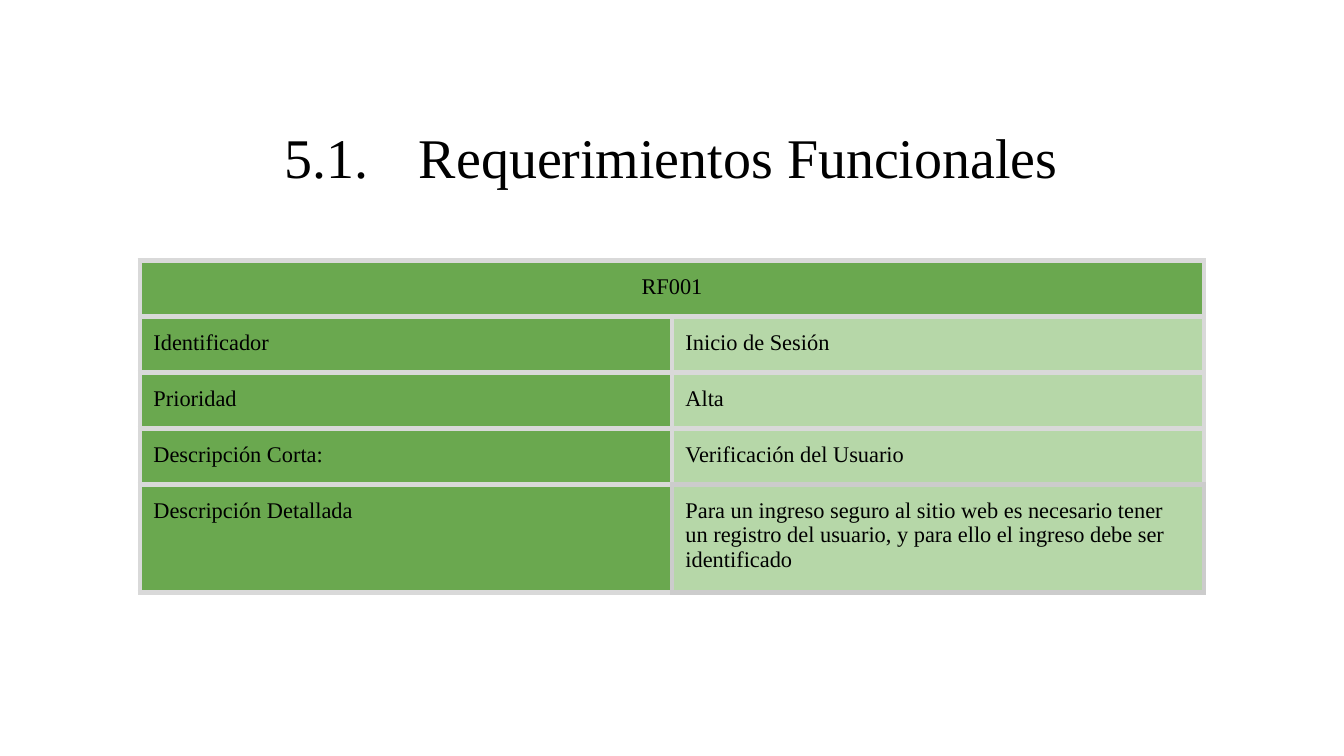
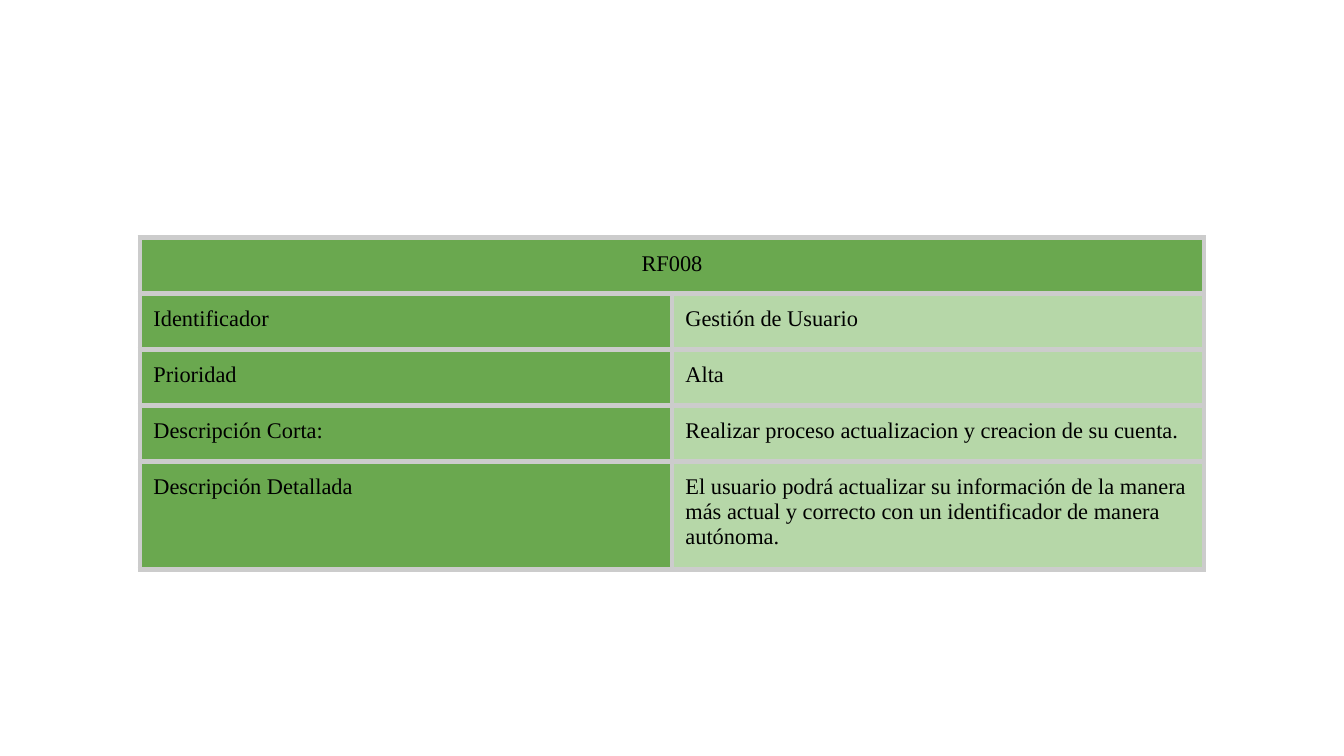
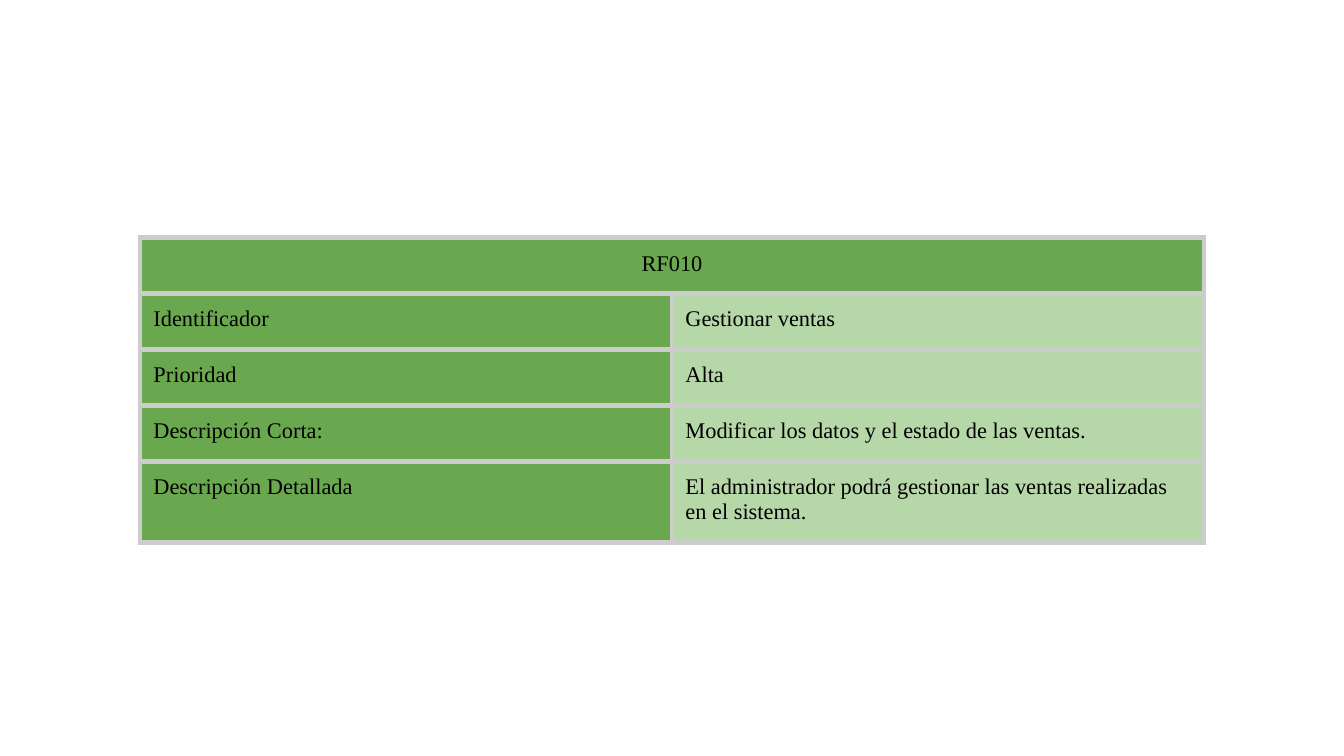
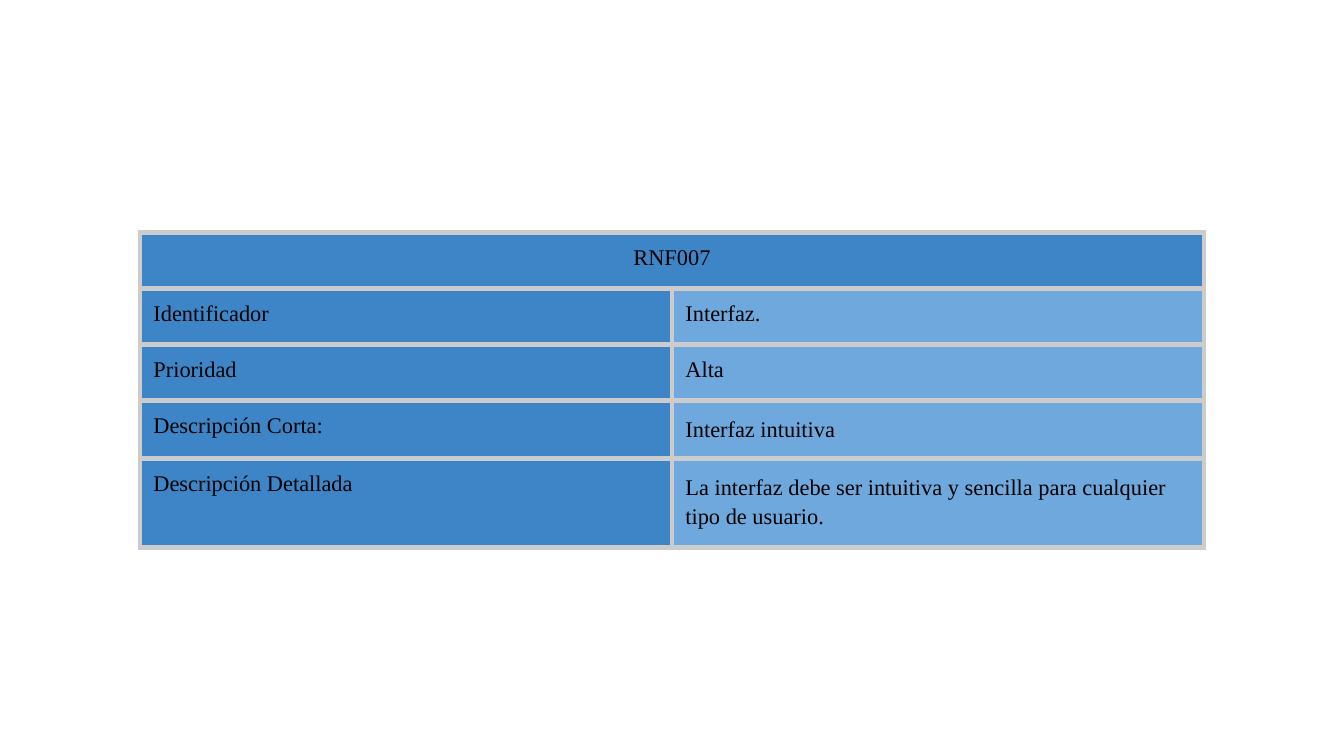
from dataclasses import dataclass

from lxml.etree import SubElement
from pptx import Presentation
from pptx.dml.color import RGBColor
from pptx.enum.text import MSO_AUTO_SIZE, PP_ALIGN
from pptx.oxml.ns import qn
from pptx.util import Pt

FONT = "Times New Roman"
BLACK = "000000"
GRAY = "CCCCCC"
LIGHT_GRAY = "D9D9D9"
GREENS = ("6AA84F", "B6D7A8")
BLUES = ("3D85C6", "6FA8DC")
LABELS = ("Identificador", "Prioridad", "Descripción Corta:", "Descripción Detallada")
TABLE_LEFT, COLUMN_WIDTH, ROW_HEIGHT = 75, 285, 30
BORDER_WIDTH = 3
INSET = 7.2


@dataclass
class Requirement:
    """The content and look of one requirement table."""
    code: str
    values: tuple
    top: float
    fills: tuple = GREENS
    border: str = GRAY
    description_spacing: float = 1.0


REQUIREMENTS = (
    Requirement("RF001", (
        "Inicio de Sesión", "Alta", "Verificación del Usuario",
        "Para un ingreso seguro al sitio web es necesario tener un registro del usuario, "
        "y para ello el ingreso debe ser identificado"), 139.7, border=LIGHT_GRAY),
    Requirement("RF008", (
        "Gestión de Usuario", "Alta", "Realizar proceso actualizacion y creacion de su cuenta.",
        "El usuario podrá actualizar su información de la manera más actual y correcto "
        "con un identificador de manera autónoma."), 127.3),
    Requirement("RF010", (
        "Gestionar ventas", "Alta", "Modificar los datos y el estado de las ventas.",
        "El administrador podrá gestionar las ventas realizadas en el sistema."), 127.3),
    Requirement("RNF007", (
        "Interfaz.", "Alta", "Interfaz intuitiva",
        "La interfaz debe ser intuitiva y sencilla para cualquier tipo de usuario."),
        124.6, fills=BLUES, description_spacing=1.15),
)


def color(value):
    """Turn a hex string into a colour."""
    return RGBColor.from_string(value)


def set_insets(target):
    """Give a cell or text frame the shared inner margins."""
    target.margin_left = target.margin_right = Pt(INSET)
    target.margin_top = target.margin_bottom = Pt(INSET)


def write(paragraph, text, size, alignment=PP_ALIGN.LEFT):
    """Add one run in the shared font to a paragraph."""
    paragraph.alignment = alignment
    run = paragraph.add_run()
    run.text = text
    run.font.name = FONT
    run.font.size = Pt(size)
    run.font.color.rgb = color(BLACK)


def add_title(slide, text):
    """Add the centred section title."""
    shape = slide.shapes.add_textbox(Pt(132.5), Pt(58.3), Pt(454.3), Pt(51.1))
    frame = shape.text_frame
    frame.word_wrap = True
    frame.auto_size = MSO_AUTO_SIZE.SHAPE_TO_FIT_TEXT
    set_insets(frame)
    write(frame.paragraphs[0], text, 30, PP_ALIGN.CENTER)


def set_borders(cell, colors):
    """Draw the left, right, top and bottom borders of a cell."""
    properties = cell._tc.get_or_add_tcPr()
    for index, (side, value) in enumerate(zip("LRTB", colors)):
        line = SubElement(properties, qn(f"a:ln{side}"), w=str(Pt(BORDER_WIDTH)))
        fill = SubElement(line, qn("a:solidFill"))
        SubElement(fill, qn("a:srgbClr"), val=value)
        properties.insert(index, line)


def style_cell(cell, fill, borders):
    """Set the fill, margins and borders of a cell."""
    set_insets(cell)
    cell.fill.solid()
    cell.fill.fore_color.rgb = color(fill)
    set_borders(cell, borders)


def add_requirement(slide, requirement):
    """Add a requirement table with a merged code row and four labelled rows."""
    rows = len(LABELS) + 1
    table = slide.shapes.add_table(
        rows, 2, Pt(TABLE_LEFT), Pt(requirement.top),
        Pt(2 * COLUMN_WIDTH), Pt(rows * ROW_HEIGHT)).table
    table.first_row = table.horz_banding = False
    border = requirement.border
    detail_borders = {
        (rows - 2, 1): (border, border, border, GRAY),
        (rows - 1, 0): (border, GRAY, border, border),
        (rows - 1, 1): (GRAY,) * 4,
    }
    dark, light = requirement.fills
    for row in range(rows):
        for column in range(2):
            fill = light if row and column else dark
            borders = detail_borders.get((row, column), (border,) * 4)
            style_cell(table.cell(row, column), fill, borders)
    table.cell(0, 0).merge(table.cell(0, 1))
    write(table.cell(0, 0).text_frame.paragraphs[0], requirement.code, 12, PP_ALIGN.CENTER)
    for row, texts in enumerate(zip(LABELS, requirement.values), start=1):
        for column, text in enumerate(texts):
            paragraph = table.cell(row, column).text_frame.paragraphs[0]
            write(paragraph, text, 12)
            if column and row >= rows - 2:
                paragraph.line_spacing = requirement.description_spacing


def main():
    """Build the requirement slides and save them."""
    presentation = Presentation()
    presentation.slide_width, presentation.slide_height = Pt(720), Pt(405)
    for number, requirement in enumerate(REQUIREMENTS):
        slide = presentation.slides.add_slide(presentation.slide_layouts[6])
        if number == 0:
            add_title(slide, "5.1.\tRequerimientos Funcionales")
        add_requirement(slide, requirement)
    presentation.save("out.pptx")


if __name__ == "__main__":
    main()
